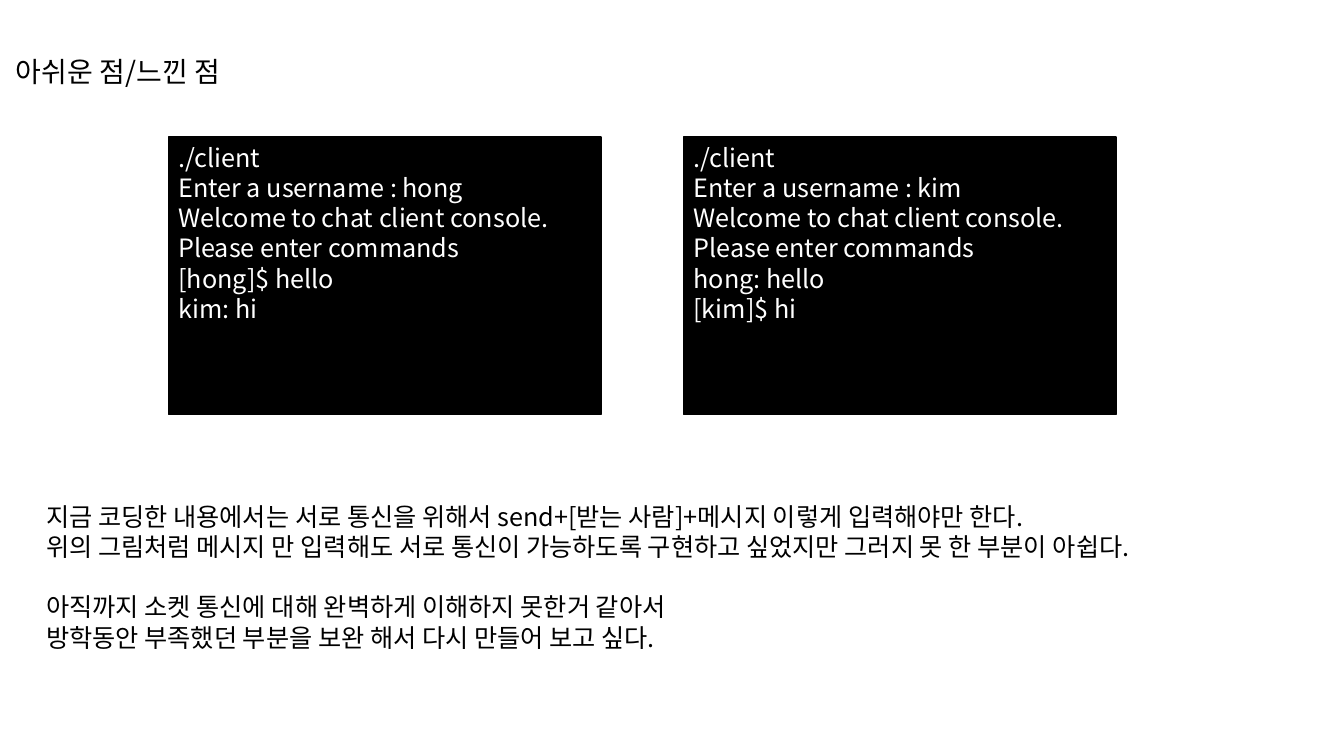
from lxml import etree
from pptx import Presentation
from pptx.dml.color import RGBColor
from pptx.enum.shapes import MSO_SHAPE
from pptx.enum.text import MSO_ANCHOR
from pptx.oxml.ns import qn
from pptx.util import Inches, Pt

RECT = MSO_SHAPE.RECTANGLE
TOP, MIDDLE = MSO_ANCHOR.TOP, MSO_ANCHOR.MIDDLE
FONT = "Noto Sans CJK KR"
COLORS = {"black": "000000", "white": "FFFFFF"}

# Content
TITLE = "아쉬운 점/느낀 점"
GREETING = ["Welcome to chat client console.", "Please enter commands"]
CONSOLES = [
    ["./client", "Enter a username : hong", *GREETING, "[hong]$ hello", "kim: hi"],
    ["./client", "Enter a username : kim", *GREETING, "hong: hello", "[kim]$ hi"],
]
REFLECTIONS = [
    ["지금 코딩한 내용에서는 서로 통신을 위해서 send+[받는 사람]+메시지 이렇게 입력해야만 한다.",
     "위의 그림처럼 메시지 만 입력해도 서로 통신이 가능하도록 구현하고 싶었지만 그러지 못 한 부분이 아쉽다."],
    ["아직까지 소켓 통신에 대해 완벽하게 이해하지 못한거 같아서",
     "방학동안 부족했던 부분을 보완 해서 다시 만들어 보고 싶다."],
]

# Layout in inches
CONSOLE_LEFT, CONSOLE_TOP, CONSOLE_STEP = 1.67, 1.36, 5.11
CONSOLE_W, CONSOLE_H = 4.29, 2.75
BLOCK_GAP = Pt(21.6)  # one line of 18 pt text


def color(name):
    return RGBColor.from_string(COLORS[name])


def add_text(shapes, box, blocks, size, ink, anchor=TOP):
    """Write blocks of lines, one paragraph a line, with a gap between blocks."""
    s = shapes.add_textbox(*map(Inches, box))
    tf = s.text_frame
    tf.word_wrap = True
    tf.vertical_anchor = anchor
    tf.text = "\n".join(line for block in blocks for line in block)
    for p in tf.paragraphs:
        p.font.size = Pt(size)
        p.font.color.rgb = color(ink)
        p.font.name = FONT
        east_asian = etree.SubElement(p._p.pPr.find(qn("a:defRPr")), qn("a:ea"))
        east_asian.set("typeface", FONT)
    start = 0
    for block in blocks[:-1]:
        start += len(block)
        tf.paragraphs[start].space_before = BLOCK_GAP
    return tf


prs = Presentation()
prs.slide_width, prs.slide_height = Inches(13.33), Inches(7.5)
slide = prs.slides.add_slide(prs.slide_layouts[6])

# Title
tf = add_text(slide.shapes, (0.06, 0, 11.44, 1.45), [[TITLE]], 20, "black", MIDDLE)
tf.paragraphs[0].line_spacing = 0.9

# Chat consoles
for i, lines in enumerate(CONSOLES):
    left = CONSOLE_LEFT + i * CONSOLE_STEP
    console = slide.shapes.add_group_shape()
    s = console.shapes.add_shape(
        RECT, *map(Inches, (left, CONSOLE_TOP, CONSOLE_W, CONSOLE_H)))
    s.shadow.inherit = False
    s.fill.solid()
    s.fill.fore_color.rgb = color("black")
    s.line.color.rgb = color("black")
    s.line.width = Pt(1)
    add_text(console.shapes, (left, CONSOLE_TOP, 3.96, 1.92), [lines], 18, "white")

# Reflections
add_text(slide.shapes, (0.36, 4.92, 12.36, 1.62), REFLECTIONS, 18, "black")

prs.save("out.pptx")
